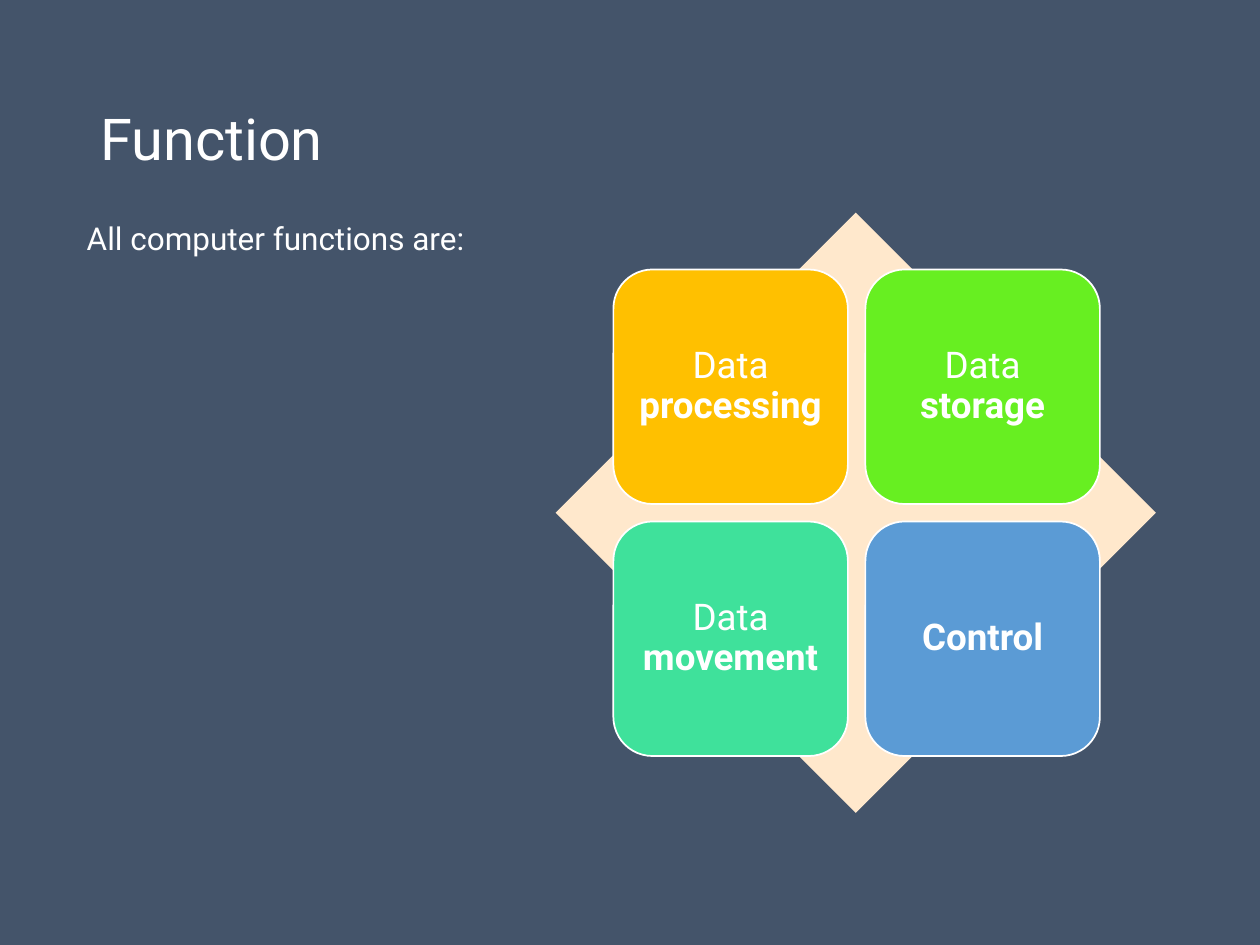
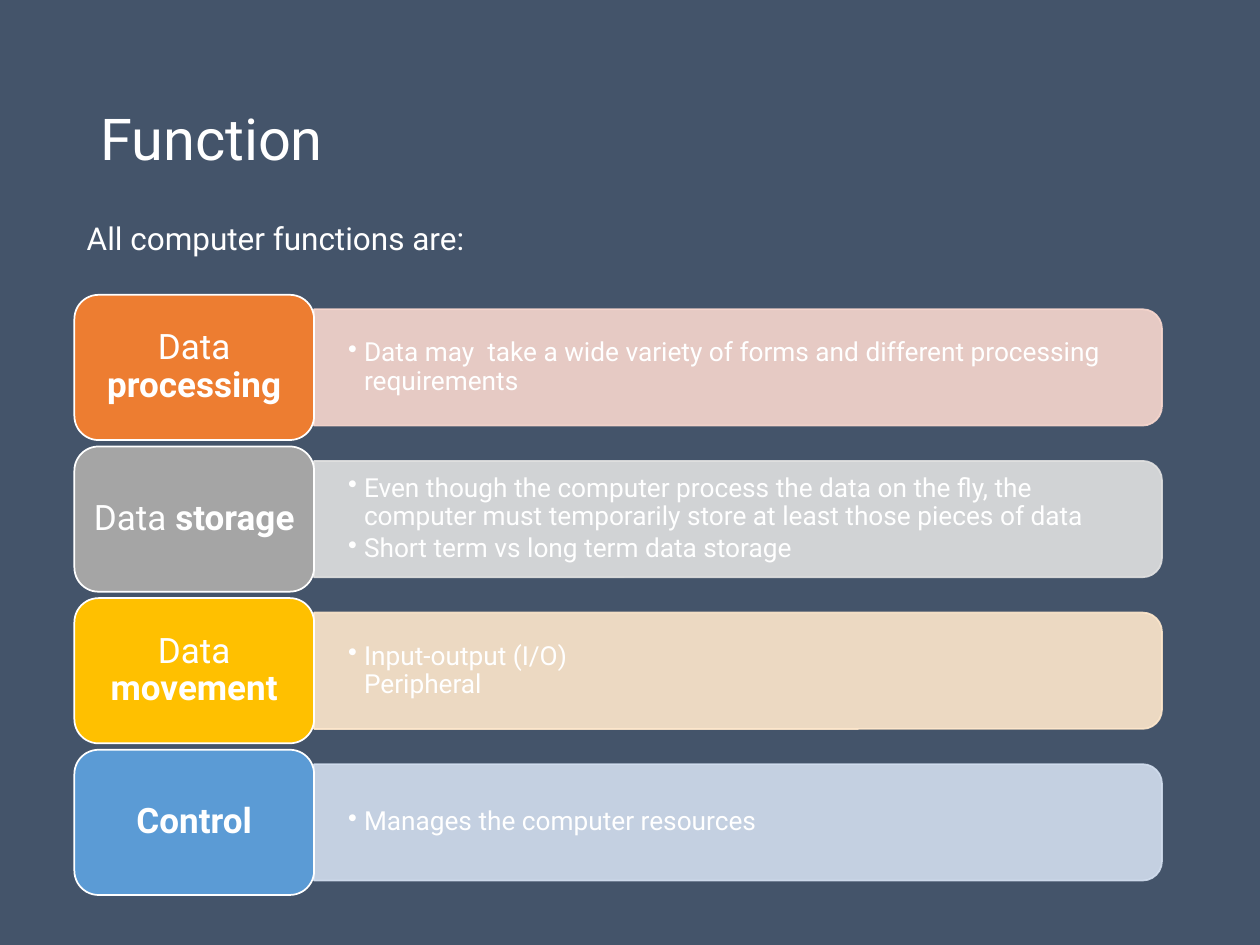
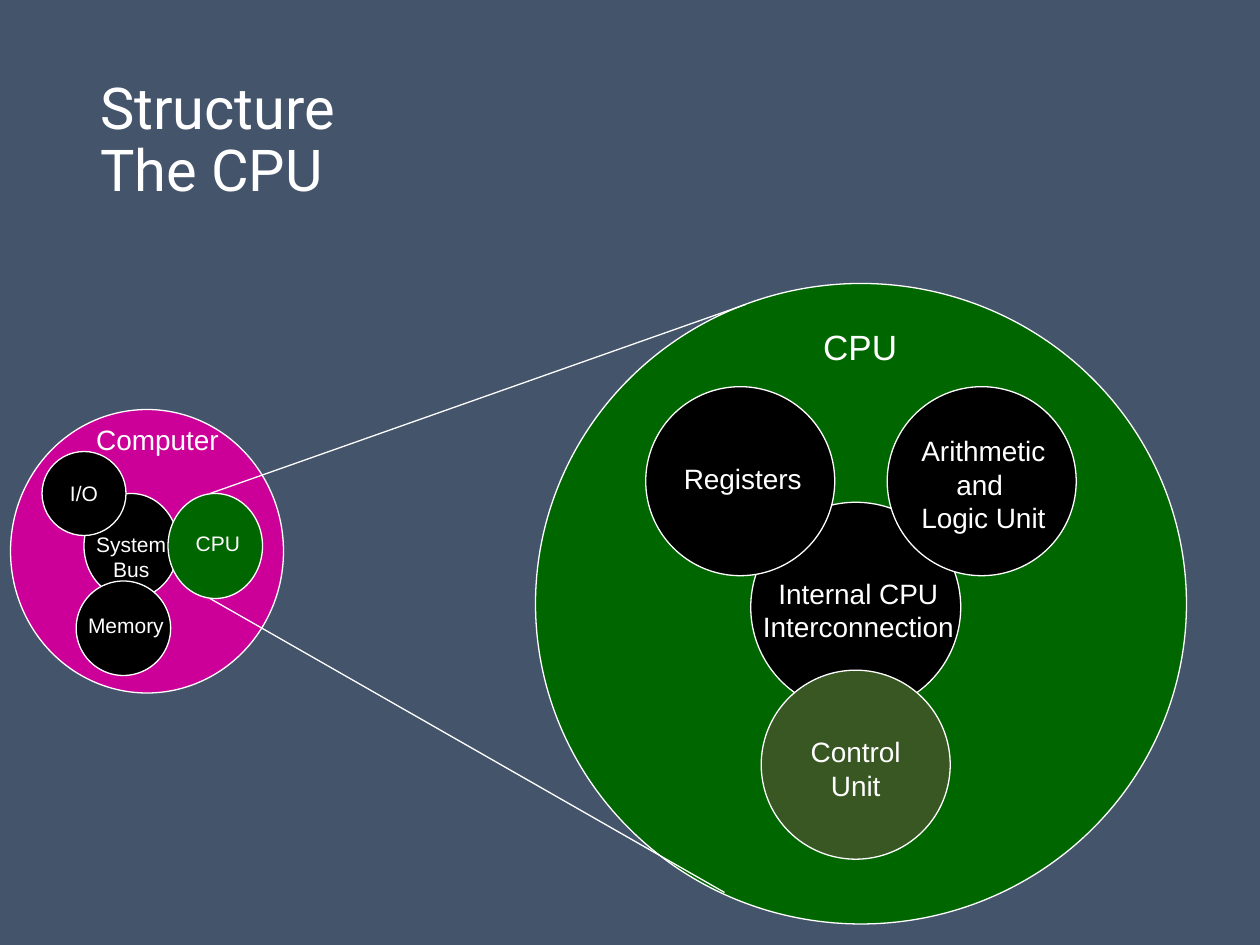
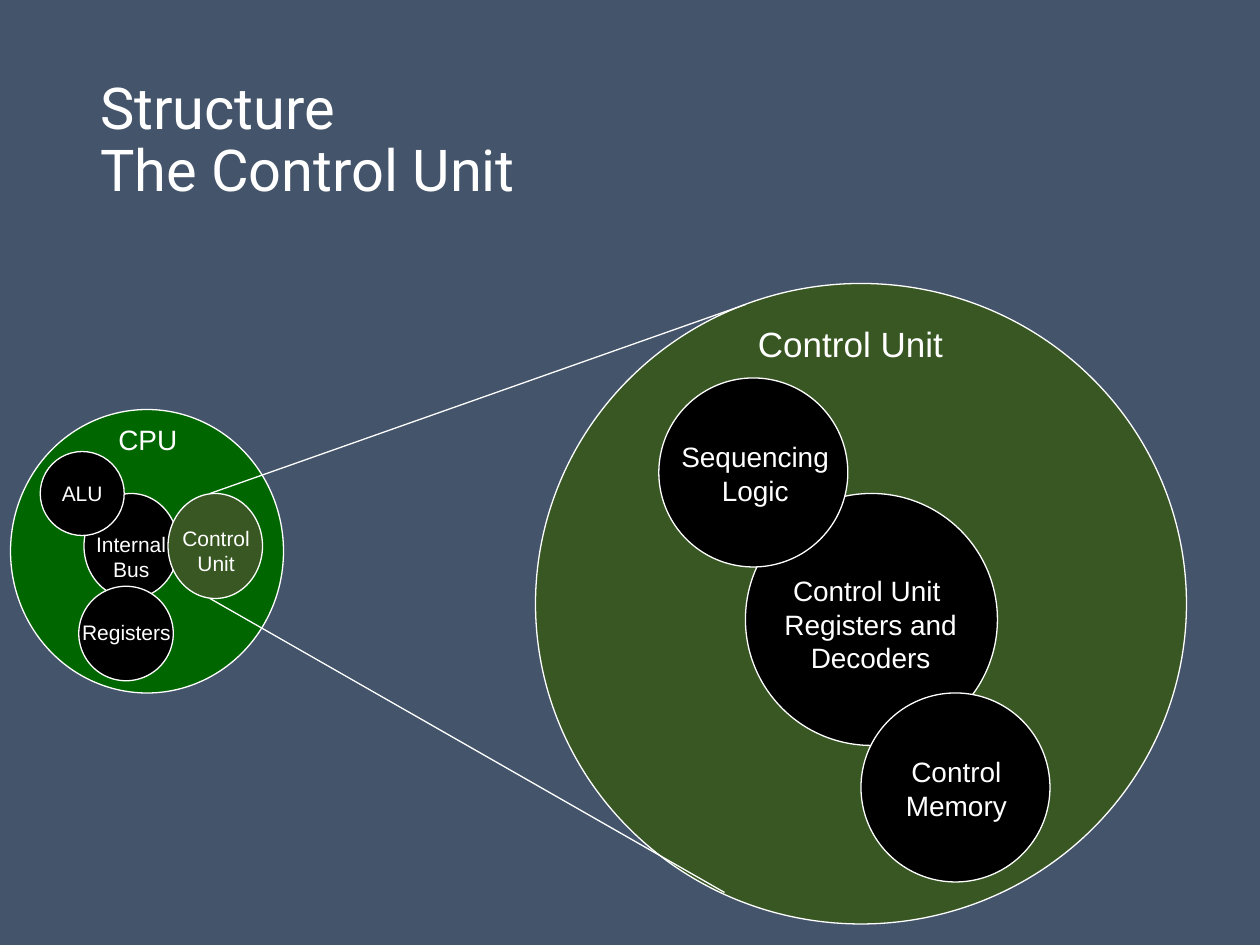
import copy

import pptx
import pptx.dml.color
import pptx.enum.shapes
import pptx.enum.text
import pptx.oxml.ns
import pptx.oxml.xmlchemy
import pptx.util
from lxml import etree

Pt = pptx.util.Pt
qn = pptx.oxml.ns.qn
KIND = pptx.enum.shapes.MSO_SHAPE
ALIGN = pptx.enum.text.PP_ALIGN
MIDDLE = pptx.enum.text.MSO_ANCHOR.MIDDLE

HUES = {
    "back": "44546A", "white": "FFFFFF", "black": "000000",
    "cream": "FFE8CC", "gold": "FFC000", "lime": "67EF21",
    "mint": "3FE19B", "blue": "5B9BD5", "orange": "ED7D31",
    "grey": "A5A5A5", "rose": "F8D7CE", "silver": "E1E1E1",
    "sky": "D2DEEF", "pink": "CC0099", "green": "006600",
    "olive": "385723",
}


def hue(name):
    """Return the named colour."""
    return pptx.dml.color.RGBColor.from_string(HUES[name])


class Deck:
    """Hold the style and the current slide."""

    head, plain = "Roboto", "Arial"

    def __init__(self):
        """Open a deck with the shared size and background."""
        self.prs = pptx.Presentation()
        self.prs.slide_width, self.prs.slide_height = Pt(720), Pt(540)
        fill = self.prs.slide_master.background.fill
        fill.solid()
        fill.fore_color.rgb = hue("back")

    def page(self, title):
        """Start a slide with a title."""
        layout = self.prs.slide_layouts[5]
        self.slide = self.prs.slides.add_slide(layout)
        box = self.slide.shapes.title
        box.left, box.top, box.width, box.height = map(Pt, (50, 29, 620, 104))
        frame = box.text_frame
        frame.text = title
        frame.auto_size = pptx.enum.text.MSO_AUTO_SIZE.NONE
        frame.vertical_anchor = MIDDLE
        self.style(frame, 33, self.head, ALIGN.LEFT, 0.9)

    def style(self, frame, size, face, align, space=1.0):
        """Format every paragraph and run of a frame."""
        for para in frame.paragraphs:
            para.alignment, para.line_spacing = align, space
            for run in para.runs:
                run.font.size, run.font.name = Pt(size), face
                run.font.color.rgb = hue("white")
            for gap in para._p.findall(qn("a:br")):
                gap.insert(0, copy.deepcopy(para.runs[0]._r.rPr))

    def pad(self, frame, side, edge):
        """Set the side and edge margins of a frame."""
        frame.margin_left = frame.margin_right = Pt(side)
        frame.margin_top = frame.margin_bottom = Pt(edge)

    def shape(self, kind, box, fill, line="white", width=0.75):
        """Draw a filled preset shape."""
        item = self.slide.shapes.add_shape(kind, *map(Pt, box))
        item.shadow.inherit = False
        item.fill.solid()
        item.fill.fore_color.rgb = hue(fill)
        if line:
            item.line.color.rgb = hue(line)
            item.line.width = Pt(width)
        else:
            item.line.fill.background()
        return item

    def disc(self, box, fill="black"):
        """Draw an outlined ellipse; three numbers make a circle."""
        if len(box) == 3:
            box = (*box, box[2])
        return self.shape(KIND.OVAL, box, fill)

    def text(self, words, box, size, face, align, wrap=True):
        """Add a text box."""
        frame = self.slide.shapes.add_textbox(*map(Pt, box)).text_frame
        frame.word_wrap = wrap
        frame.text = words
        self.style(frame, size, face, align)
        return frame

    def label(self, words, box, size):
        """Add a centred label that does not wrap."""
        frame = self.text(words, box, size, self.plain, ALIGN.CENTER, False)
        frame.vertical_anchor = MIDDLE

    def intro(self):
        """Add the line that leads into the functions."""
        self.text("All computer functions are:", (42.5, 121.5, 360, 29), 18,
                  self.head, ALIGN.LEFT)

    def tile(self, words, box, fill, size, side, edge):
        """Draw a rounded tile whose last word is bold."""
        frame = self.shape(KIND.ROUNDED_RECTANGLE, box, fill,
                           width=1).text_frame
        frame.word_wrap, frame.vertical_anchor = True, MIDDLE
        self.pad(frame, side, edge)
        lead, mark, last = words.rpartition(" ")
        para = frame.paragraphs[0]
        para.text = lead + mark
        bold = para.add_run()
        bold.text, bold.font.bold = last, True
        self.style(frame, size, self.head, ALIGN.CENTER, 0.9)

    def bar(self, box, fill):
        """Draw a see-through bar rounded at its right end."""
        left, top, wide, high = box
        turn = (left + (wide - high) / 2, top + (high - wide) / 2, high, wide)
        item = self.shape(KIND.ROUND_2_SAME_RECTANGLE, turn, fill, fill, 1)
        item.rotation = 90
        for tone in item._element.spPr.iter(qn("a:srgbClr")):
            etree.SubElement(tone, qn("a:alpha"), val="90000")

    def points(self, words, box):
        """Add a bulleted list."""
        frame = self.text(words, box, 15, self.head, ALIGN.LEFT)
        frame.vertical_anchor = MIDDLE
        self.pad(frame, 19.5, 10)
        for para in frame.paragraphs:
            props = para._p.get_or_add_pPr()
            props.set("marL", str(Pt(9)))
            props.set("indent", str(-Pt(9)))
            etree.SubElement(props, qn("a:buChar"), char="•")
            para.line_spacing, para.space_after = 0.9, Pt(2.25)

    def line(self, *ends):
        """Draw a thin white line."""
        kind = pptx.enum.shapes.MSO_CONNECTOR.STRAIGHT
        item = self.slide.shapes.add_connector(kind, *map(Pt, ends))
        item.line.color.rgb = hue("white")
        item.line.width = Pt(0.75)
        etree.SubElement(item._element.spPr, qn("a:effectLst"))

    def zoom(self, whole, low, bus, side, part, discs, names):
        """Draw a small system and one enlarged part of it."""
        name, box, fill = whole
        self.disc((6, 234, 156, 162), fill)
        self.label(name, box, 16)
        self.disc((48, 282, 54, 60))
        name, box, spot = low
        self.disc(spot)
        self.label(name, box, 12)
        self.label(bus, (47.5, 299.5, 55, 37), 12)

        name, small, large, fill = part
        self.disc((306, 162, 372, 366), fill)
        for disc in discs:
            self.disc(*disc)
        for words, box in names:
            self.label(words, box, 16)
        self.line(120, 282, 426, 174)
        self.line(120, 342, 414, 510)
        self.label(name, large, 20)

        name, spot = side
        frame = self.disc(spot).text_frame
        frame.text, frame.word_wrap = name, False
        frame.vertical_anchor = MIDDLE
        self.style(frame, 12, self.plain, ALIGN.CENTER)
        self.disc((96, 282, 54, 60), fill)
        self.label(part[0].replace(" ", "\n"), small, 12)


def grid(deck):
    """Show the four functions as a grid."""
    deck.page("Function")
    deck.shape(KIND.DIAMOND, (317.5, 121.5, 343, 343), "cream", None)
    tiles = [("Data processing", "gold"), ("Data storage", "lime"),
             ("Data movement", "mint"), ("Control", "blue")]
    for i, (words, fill) in enumerate(tiles):
        row, col = divmod(i, 2)
        box = (350.5 + 144 * col, 154 + 144 * row, 134, 134)
        deck.tile(words, box, fill, 21, 6.5, 6.5)
    deck.intro()


def rows(deck):
    """Explain each function in a row."""
    deck.page("Function")
    items = [
        ("Data processing", "orange", "rose",
         "Data may  take a wide variety of forms and different processing "
         "requirements"),
        ("Data storage", "grey", "silver",
         "Even though the computer process the data on the fly, the computer "
         "must temporarily store at least those pieces of data\n"
         "Short term vs long term data storage"),
        ("Data movement", "gold", "cream", "Input-output (I/O)\vPeripheral"),
        ("Control", "blue", "sky", "Manages the computer resources"),
    ]
    for i, (words, fill, pale, notes) in enumerate(items):
        top = 168.5 + 86.65 * i
        deck.bar((179.5, top + 8.25, 484.5, 66.5), pale)
        deck.points(notes, (179.5, top + 11.5, 481, 60))
        deck.tile(words, (42.5, top, 137, 83), fill, 20, 5.5, 3)
    deck.intro()


def core(deck):
    """Show the CPU inside the computer."""
    deck.page("Structure\vThe CPU")
    deck.zoom(
        whole=("Computer", (47.5, 237.5, 85, 27), "pink"),
        low=("Memory", (43, 346.5, 58, 22), (43.5, 332, 54)),
        bus="System\nBus",
        side=("I/O", (24, 258, 48)),
        part=("CPU", (104.5, 299.5, 40, 22), (463, 182, 57, 32), "green"),
        discs=[((429, 287, 120),), ((369, 221, 108),), ((507, 221, 108),),
               ((435, 383, 108), "olive")],
        names=[("Arithmetic\nand \nLogic Unit", (519, 244, 86, 65)),
               ("Control\nUnit", (456, 416, 66, 46)),
               ("Internal CPU\nInterconnection", (428, 325.5, 125, 46)),
               ("Registers", (383, 260, 83, 27))])


def unit(deck):
    """Show the control unit inside the CPU."""
    deck.page("Structure\vThe Control Unit")
    deck.zoom(
        whole=("CPU", (60.5, 237.5, 48, 27), "green"),
        low=("Registers", (39.5, 350, 65.5, 22), (45, 335, 54)),
        bus="Internal\nBus",
        side=("ALU", (23, 258, 48)),
        part=("Control Unit", (97, 296, 53, 37), (425.5, 180, 121, 32),
              "olive"),
        discs=[((426, 282, 144),), ((376.5, 216, 108),), ((492, 396, 108),)],
        names=[("Control\nMemory", (510, 427.5, 73, 46)),
               ("Control Unit \nRegisters and \nDecoders",
                (439, 324, 117, 65)),
               ("Sequencing\nLogic", (382, 247.5, 99, 46))])


def main():
    """Build and save the slides."""
    deck = Deck()
    for draw in (grid, rows, core, unit):
        draw(deck)
    deck.prs.save("out.pptx")


if __name__ == "__main__":
    main()
